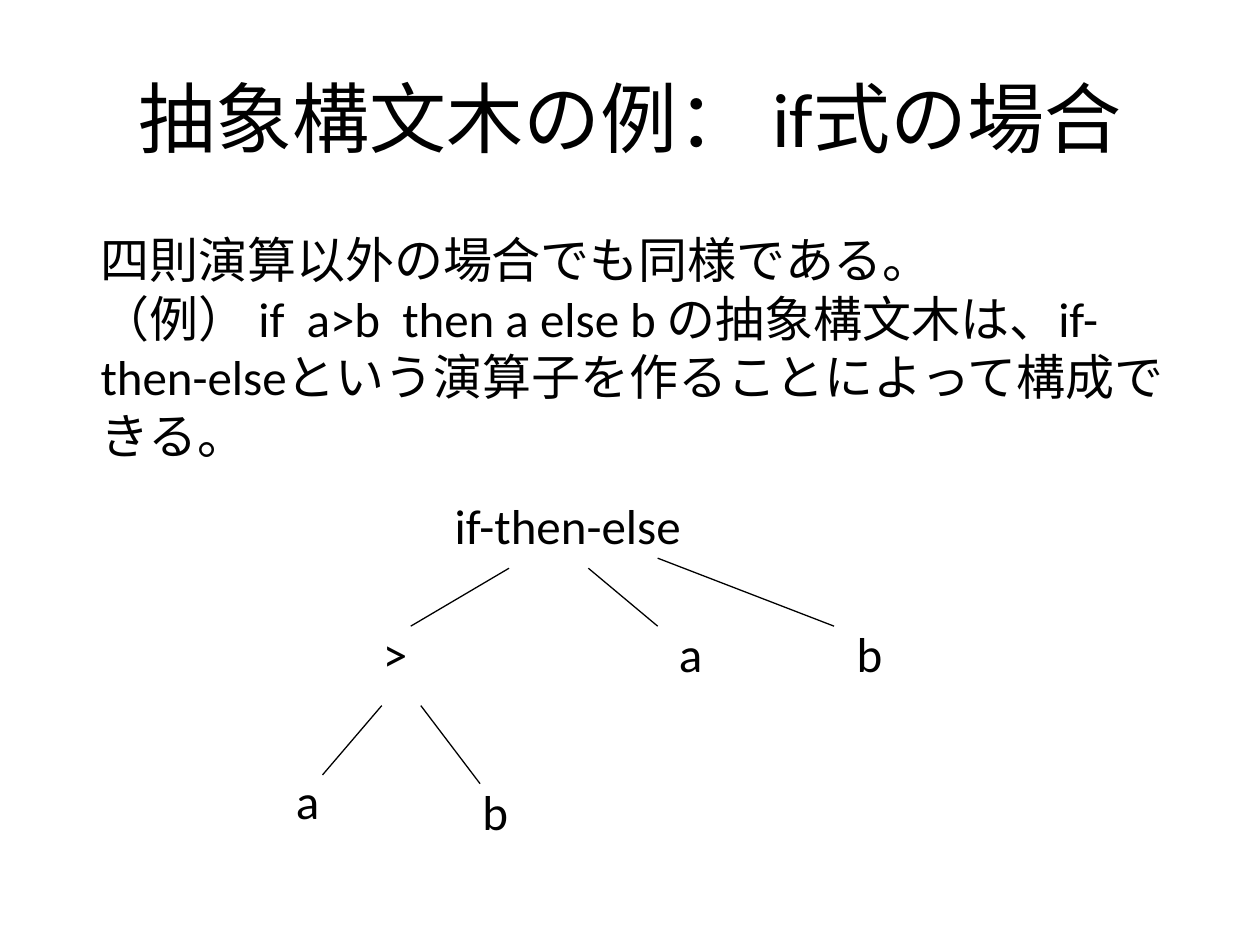
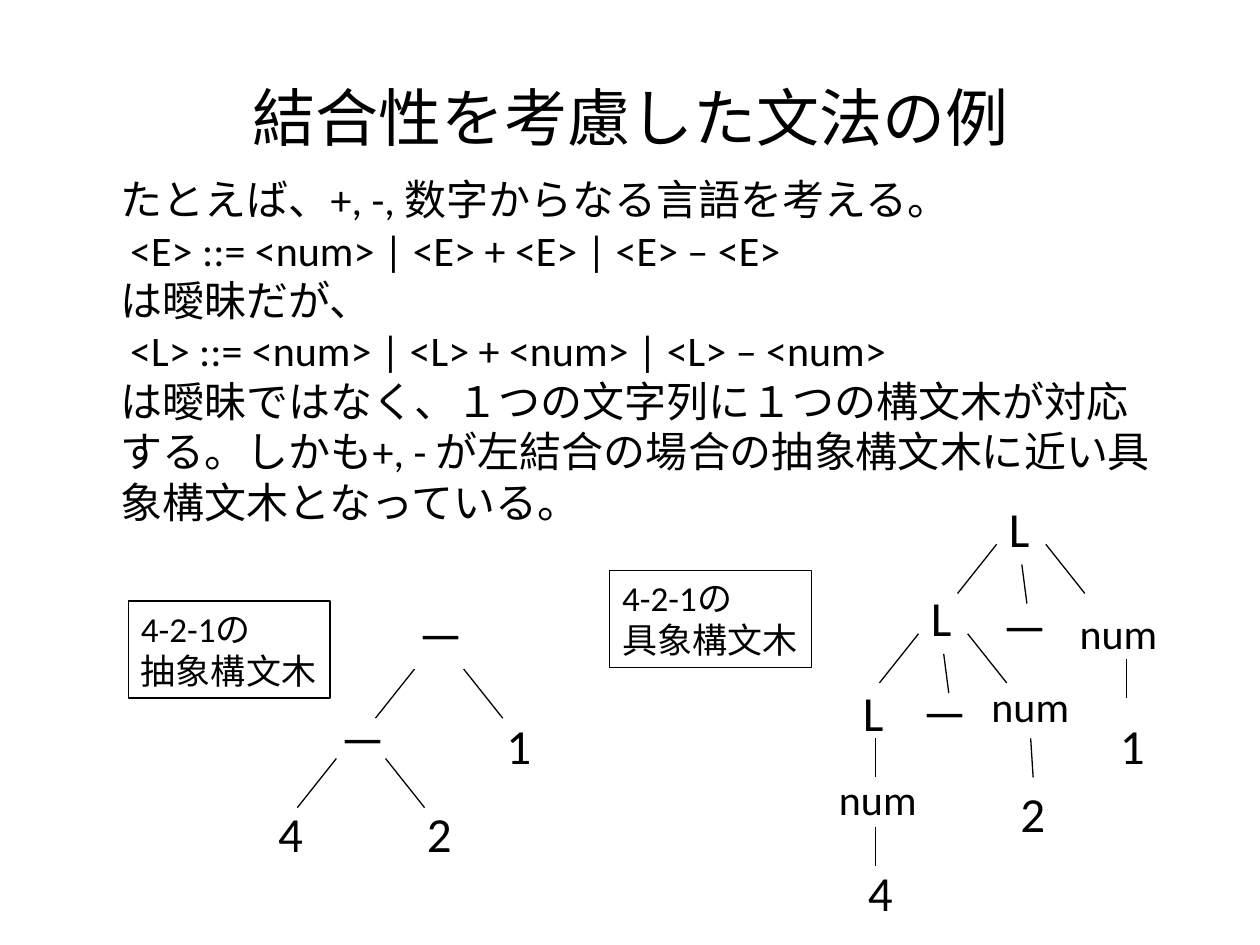
from pptx import Presentation
from pptx.dml.color import RGBColor
from pptx.enum.shapes import MSO_CONNECTOR, MSO_SHAPE
from pptx.enum.text import MSO_ANCHOR, MSO_AUTO_SIZE, PP_ALIGN
from pptx.oxml.ns import qn
from pptx.util import Inches, Pt
from lxml.etree import SubElement

BLACK = RGBColor(0, 0, 0)
WHITE = RGBColor(255, 255, 255)
FONT = "Calibri"
LINE_WIDTH = Pt(0.75)
TITLE_ONLY = 5


def write(tf, text, size=28, align=PP_ALIGN.LEFT, anchor=MSO_ANCHOR.TOP,
          wrap=False, auto_size=MSO_AUTO_SIZE.SHAPE_TO_FIT_TEXT):
    """Fill a text frame, one paragraph for each line of text."""
    tf.word_wrap = wrap
    tf.auto_size = auto_size
    tf.vertical_anchor = anchor
    for i, line in enumerate(text.split("\n")):
        p = tf.paragraphs[0] if i == 0 else tf.add_paragraph()
        p.alignment = align
        r = p.add_run()
        r.text = line
        r.font.name = FONT
        r.font.size = Pt(size)
        r.font.color.rgb = BLACK


class Deck:
    def __init__(self):
        self.prs = Presentation()
        self.prs.slide_width = Inches(10)
        self.prs.slide_height = Inches(7.5)
        self.s = None

    def slide(self, title, size):
        self.s = self.prs.slides.add_slide(self.prs.slide_layouts[TITLE_ONLY])
        fill = self.s.background.fill
        fill.solid()
        fill.fore_color.rgb = WHITE
        sp = self.s.shapes.title
        sp.left, sp.top = Inches(0.5), Inches(0.3)
        sp.width, sp.height = Inches(9), Inches(1.25)
        write(sp.text_frame, title, size=size, align=PP_ALIGN.CENTER,
              anchor=MSO_ANCHOR.MIDDLE, wrap=True, auto_size=MSO_AUTO_SIZE.NONE)

    def text(self, text, x, y, w, h, **fmt):
        sp = self.s.shapes.add_textbox(Inches(x), Inches(y), Inches(w), Inches(h))
        write(sp.text_frame, text, **fmt)

    def node(self, text, x, y, w=0.4):
        self.text(text, x, y, w, 0.57)

    def num(self, x, y):
        self.text("num", x, y, 0.82, 0.5, size=24)

    def caption(self, text, x, y):
        sp = self.s.shapes.add_shape(MSO_SHAPE.RECTANGLE, Inches(x), Inches(y),
                                     Inches(1.6), Inches(0.77))
        sp.shadow.inherit = False
        sp.fill.background()
        sp.line.color.rgb = BLACK
        sp.line.width = LINE_WIDTH
        write(sp.text_frame, text, size=20)

    def edge(self, x1, y1, x2, y2):
        c = self.s.shapes.add_connector(MSO_CONNECTOR.STRAIGHT, Inches(x1),
                                        Inches(y1), Inches(x2), Inches(y2))
        c.line.color.rgb = BLACK
        c.line.width = LINE_WIDTH
        SubElement(c._element.spPr, qn("a:effectLst"))

    def branch(self, x, y, middle=False):
        """Edges from a node to its left and right (and middle) children."""
        self.edge(x, y, x - 0.31, y + 0.39)
        self.edge(x + 0.39, y, x + 0.7, y + 0.39)
        if middle:
            self.edge(x + 0.2, y + 0.16, x + 0.24, y + 0.47)

    def stem(self, x, y, dx=0):
        """Edge from a node to its only child."""
        self.edge(x, y, x + dx, y + 0.31)


def if_tree_slide(deck):
    deck.slide("抽象構文木の例： if式の場合", 44)
    deck.text("四則演算以外の場合でも同様である。\n"
              "（例） if  a>b  then a else b の抽象構文木は、"
              "if-then-elseという演算子を作ることによって構成できる。",
              0.7, 1.77, 8.67, 1.51, wrap=True)

    deck.node("if-then-else", 3.51, 3.88, 2.02)
    for text, x, y in ((">", 2.94, 4.9), ("a", 5.29, 4.9), ("b", 6.7, 4.9),
                       ("a", 2.25, 6.07), ("b", 3.73, 6.15)):
        deck.node(text, x, y)
    for ends in ((4.04, 4.51, 3.26, 4.97), (4.67, 4.51, 5.22, 4.97),
                 (5.22, 4.43, 6.62, 4.97), (3.03, 5.6, 2.56, 6.15),
                 (3.34, 5.6, 3.81, 6.22)):
        deck.edge(*ends)


def grammar_slide(deck):
    deck.slide("結合性を考慮した文法の例", 36)
    deck.text("たとえば、+, -, 数字からなる言語を考える。\n"
              " <E> ::= <num> | <E> + <E> | <E> – <E>\n"
              "は曖昧だが、\n"
              " <L> ::= <num> | <L> + <num> | <L> – <num>\n"
              "は曖昧ではなく、１つの文字列に１つの構文木が対応する。"
              "しかも+, - が左結合の場合の抽象構文木に近い具象構文木となっている。",
              0.86, 1.33, 8.52, 2.93, size=24, wrap=True)

    # Abstract syntax tree
    deck.caption("4-2-1の\n抽象構文木", 1.02, 4.77)
    for x, y in ((3.21, 4.77), (2.59, 5.6)):
        deck.node("－", x, y, 0.6)
    for text, x, y in (("4", 2.11, 6.33), ("2", 3.29, 6.33), ("1", 3.92, 5.63)):
        deck.node(text, x, y)
    for x, y in ((3.29, 5.31), (2.67, 6.02)):
        deck.branch(x, y)

    # Concrete syntax tree
    deck.caption("4-2-1の\n具象構文木", 4.84, 4.53)
    for x, y in ((7.84, 4.71), (7.21, 5.39)):
        deck.node("－", x, y, 0.6)
    for text, x, y in (("L", 7.91, 3.91), ("L", 7.29, 4.61), ("L", 6.75, 5.37),
                       ("4", 6.79, 6.8), ("2", 8, 6.17), ("1", 8.79, 5.63)):
        deck.node(text, x, y)
    for x, y in ((8.47, 4.77), (7.77, 5.35), (6.56, 6.09)):
        deck.num(x, y)
    for x, y in ((7.91, 4.32), (7.29, 5.03)):
        deck.branch(x, y, middle=True)
    for x, y in ((8.94, 5.23), (6.95, 5.86), (6.95, 6.56)):
        deck.stem(x, y)
    deck.stem(8.18, 5.86, dx=0.02)


def main():
    deck = Deck()
    if_tree_slide(deck)
    grammar_slide(deck)
    deck.prs.save("out.pptx")


if __name__ == "__main__":
    main()
